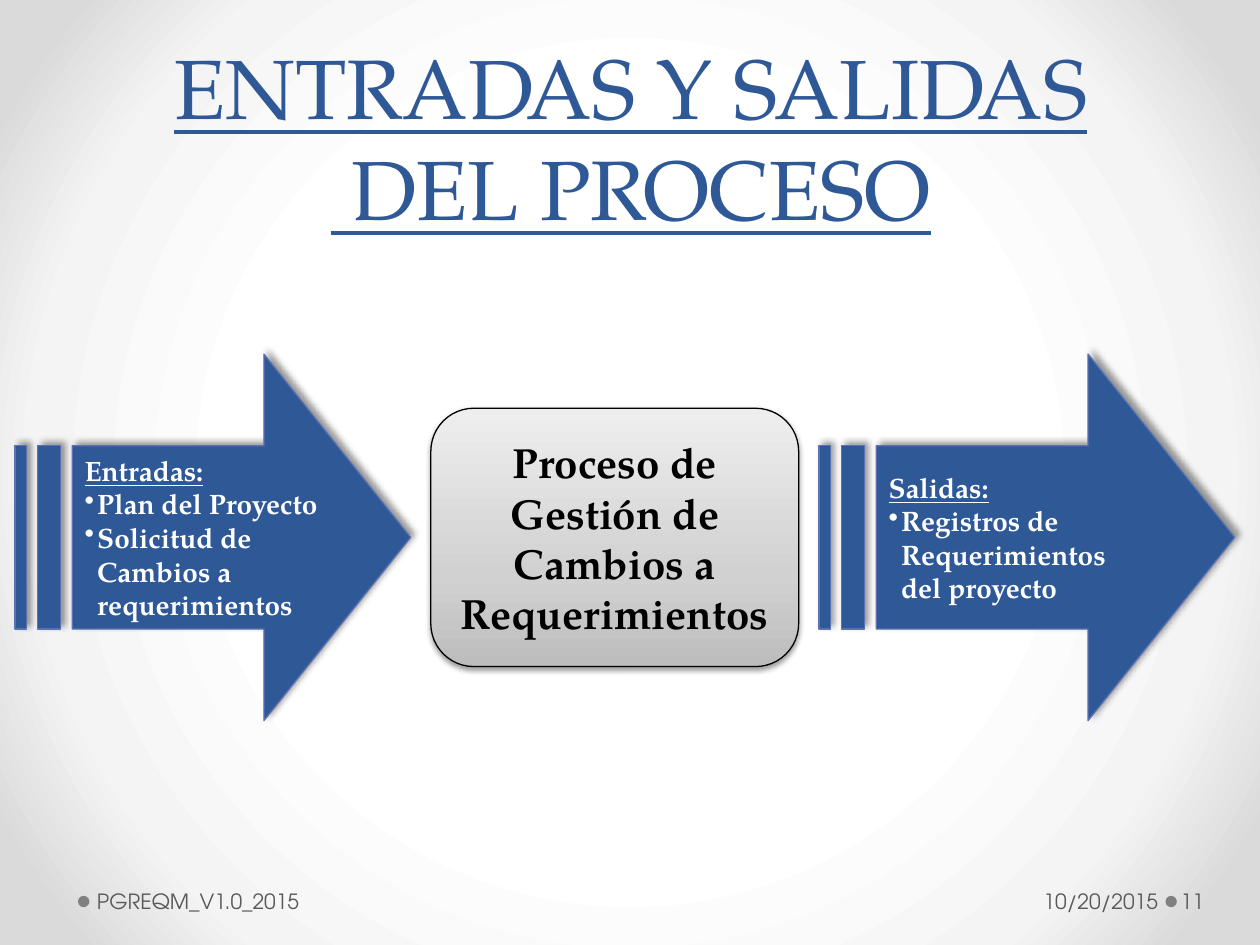
from pptx import Presentation
from pptx.dml.color import RGBColor
from pptx.enum.shapes import MSO_SHAPE
from pptx.enum.text import MSO_ANCHOR, PP_ALIGN
from pptx.oxml import parse_xml
from pptx.oxml.ns import nsdecls, qn
from pptx.util import Pt

SERIF, SANS = "TeX Gyre Pagella", "TeX Gyre Adventor"
BLUE, GREY = "2F5897", "595959"
LEFT, CENTER, RIGHT = PP_ALIGN.LEFT, PP_ALIGN.CENTER, PP_ALIGN.RIGHT


def rgb(value):
    return RGBColor.from_string(value)


def set_gradient(holder, stops, direction):
    old = holder.find(".//" + qn("a:gradFill"))
    marks = "".join(
        f'<a:gs pos="{pos * 1000}"><a:srgbClr val="{color}"/></a:gs>'
        for pos, color in stops)
    new = parse_xml(f'<a:gradFill {nsdecls("a")} rotWithShape="1">'
                    f"<a:gsLst>{marks}</a:gsLst>{direction}</a:gradFill>")
    old.getparent().replace(old, new)


class Deck:
    title = dict(name=SERIF, size=Pt(48), underline=True)
    arrow = dict(name=SERIF, size=Pt(16), bold=True)
    process = dict(name=SERIF, size=Pt(24), bold=True)
    footer = dict(name=SANS, size=Pt(12))

    def __init__(self, width, height):
        self.prs = Presentation()
        self.prs.slide_width, self.prs.slide_height = Pt(width), Pt(height)
        self.s = self.prs.slides.add_slide(self.prs.slide_layouts[6])

    def background(self, stops):
        self.s.background.fill.gradient()
        set_gradient(self.s._element, stops,
                     '<a:path path="circle"><a:fillToRect l="50000" t="50000" '
                     'r="50000" b="50000"/></a:path>')

    def fill_text(self, sp, lines, style, color, align=LEFT,
                  anchor=MSO_ANCHOR.MIDDLE, insets=(7.2, 7.2)):
        tf = sp.text_frame
        tf.word_wrap = True
        tf.vertical_anchor = anchor
        tf.margin_left, tf.margin_right = map(Pt, insets)
        tf.margin_top = tf.margin_bottom = Pt(3.6)
        for i, line in enumerate(lines):
            p = tf.add_paragraph() if i else tf.paragraphs[0]
            p.text = line
            p.alignment = align
            for r in p.runs:
                for key, value in style.items():
                    setattr(r.font, key, value)
                r.font.color.rgb = rgb(color)
        return tf

    def text(self, box, line, style, color, **options):
        sp = self.s.shapes.add_textbox(*map(Pt, box))
        self.fill_text(sp, [line], style, color, **options)

    def shape(self, kind, box, fill=None, line=None):
        sp = self.s.shapes.add_shape(kind, *map(Pt, box))
        sp.shadow.inherit = False
        if fill:
            sp.fill.solid()
            sp.fill.fore_color.rgb = rgb(fill)
        if line:
            sp.line.color.rgb = rgb(line)
            sp.line.width = Pt(0.75)
        else:
            sp.line.fill.background()
        return sp

    def shadow(self, sp, alpha, blur, dist, angle):
        sp._element.spPr.find(qn("a:effectLst")).append(parse_xml(
            f'<a:outerShdw {nsdecls("a")} blurRad="{Pt(blur)}" '
            f'dist="{Pt(dist)}" dir="{angle * 60000}" rotWithShape="0">'
            f'<a:srgbClr val="000000"><a:alpha val="{alpha * 1000}"/>'
            "</a:srgbClr></a:outerShdw>"))

    def dot(self, left):
        self.shape(MSO_SHAPE.OVAL, (left, 511.9, 6.5, 6.5), "808080")

    def striped_arrow(self, left, width, heading, items):
        sp = self.shape(MSO_SHAPE.STRIPED_RIGHT_ARROW,
                        (left, 202.3, width, 209.5), BLUE, "5C72B2")
        sp.adjustments[0], sp.adjustments[1] = 0.5, 0.4
        self.shadow(sp, 40, 4, 3, 315)
        tf = self.fill_text(sp, [heading, *items], self.arrow, "FFFFFF")
        tf.paragraphs[0].runs[0].font.underline = True
        for p in tf.paragraphs[1:]:
            pPr = p._p.get_or_add_pPr()
            pPr.set("marL", str(Pt(7.2)))
            pPr.set("indent", str(Pt(-7.2)))
            pPr.append(parse_xml(f'<a:buChar {nsdecls("a")} char="•"/>'))

    def process_box(self, box, line, stops):
        sp = self.shape(MSO_SHAPE.ROUNDED_RECTANGLE, box, line="000000")
        sp.fill.gradient()
        set_gradient(sp._element, stops, '<a:lin ang="16200000" scaled="0"/>')
        self.shadow(sp, 38, 3.1, 1.6, 90)
        self.fill_text(sp, [line], self.process, "000000", CENTER)


deck = Deck(720, 540)
deck.background([(50, "FFFFFF"), (76, "F4F4F4"), (92, "DADADA")])

for left in (666, 44.6):
    deck.dot(left)

deck.striped_arrow(8.6, 226.1, "Entradas:", [
    "Plan del Proyecto", "Solicitud de Cambios a requerimientos"])
deck.striped_arrow(468, 237.6, "Salidas:", [
    "Registros de Requerimientos del proyecto"])
deck.process_box((246.2, 233.3, 210.2, 147.6),
                 "Proceso de Gestión de Cambios a Requerimientos",
                 [(0, "BDBDBD"), (35, "D1D1D1"), (100, "EEEEEE")])

deck.text((20.2, 13.7, 680.4, 125.3), "ENTRADAS Y SALIDAS\v DEL PROCESO",
          deck.title, BLUE, align=CENTER, anchor=MSO_ANCHOR.BOTTOM)

for left, width, line, align, insets in (
        (51.8, 285.1, "PGREQM_V1.0_2015", LEFT, (3.6, 7.2)),
        (501.1, 164.2, "10/20/2015", RIGHT, (7.2, 3.6)),
        (672.5, 43.9, "11", LEFT, (2.2, 3.6))):
    deck.text((left, 500.4, width, 28.8), line, deck.footer, GREY,
              align=align, insets=insets)

deck.prs.save("out.pptx")
